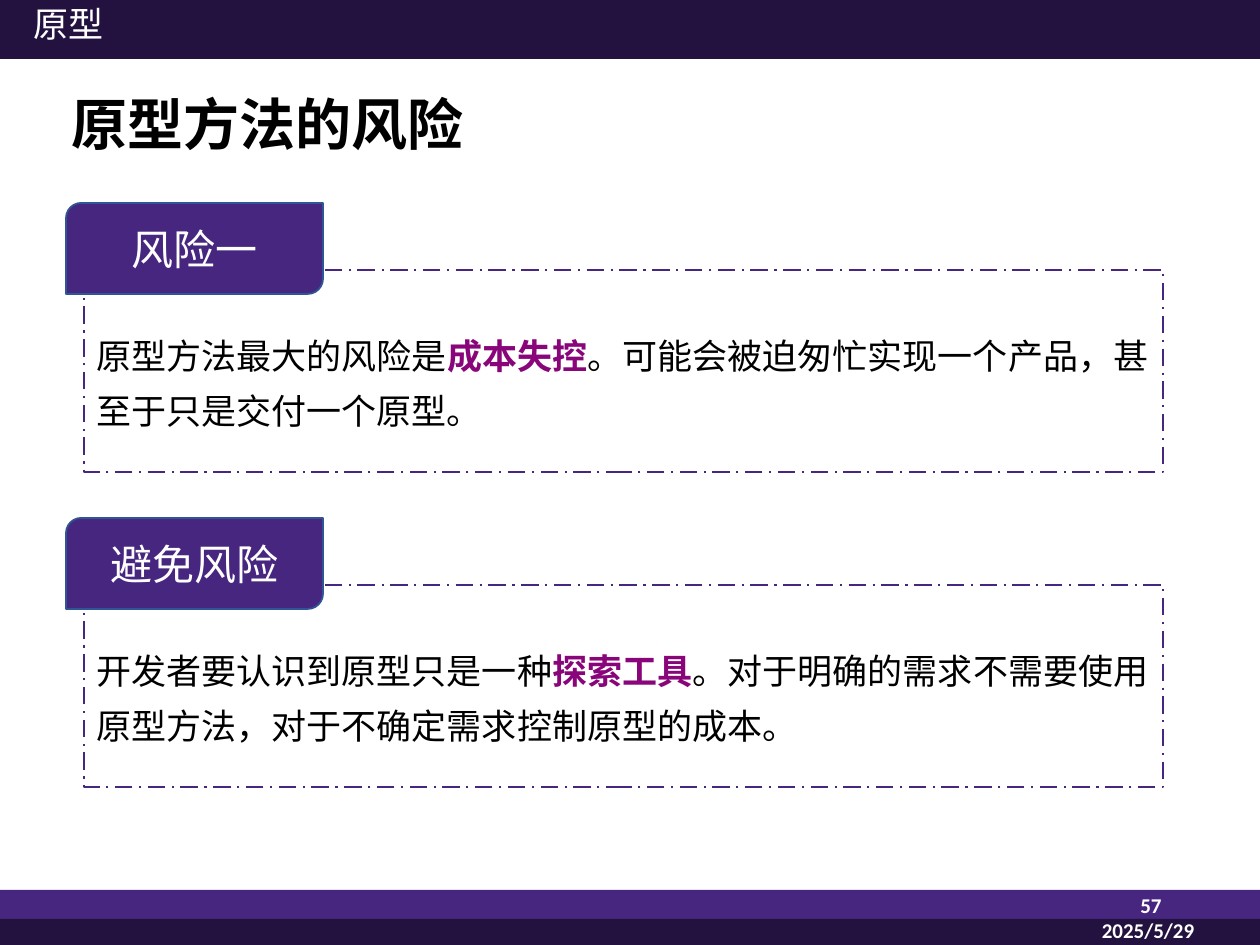
from dataclasses import dataclass

from pptx import Presentation
from pptx.dml.color import RGBColor
from pptx.enum.dml import MSO_LINE
from pptx.enum.shapes import MSO_SHAPE
from pptx.enum.text import MSO_ANCHOR, PP_ALIGN
from pptx.util import Emu, Pt
from lxml.etree import SubElement
from pptx.oxml.ns import qn

EMU_PER_PX = 914400 / 126
CJK = "Noto Sans CJK SC"
COLORS = {
    "purple": "472680",
    "dark": "231240",
    "edge": "2F5597",
    "accent": "88057A",
    "black": "000000",
    "white": "FFFFFF",
}


@dataclass(frozen=True)
class Box:
    left: int
    top: int
    width: int
    height: int

    def emu(self) -> list[Emu]:
        return [px(n) for n in (self.left, self.top, self.width, self.height)]


@dataclass(frozen=True)
class Run:
    text: str
    color: str = "black"
    bold: bool = False


@dataclass(frozen=True)
class Card:
    label: str
    body: tuple[Run, ...]


CARDS = (
    Card("风险一", (
        Run("原型方法最大的风险是"),
        Run("成本失控", "accent", True),
        Run("。可能会被迫匆忙实现一个产品，甚至于只是交付一个原型。"),
    )),
    Card("避免风险", (
        Run("开发者要认识到原型只是一种"),
        Run("探索工具", "accent", True),
        Run("。对于明确的需求不需要使用原型方法，对于不确定需求控制原型的成本。"),
    )),
)
BARS = (
    (Box(0, 890, 1260, 30), "purple"),
    (Box(0, 919, 1260, 26), "dark"),
    (Box(0, 0, 1260, 59), "dark"),
)
CARD_TOP, CARD_PITCH, FRAME_DROP = 203, 315, 67


def px(count: int) -> Emu:
    return Emu(round(count * EMU_PER_PX))


def rgb(name: str) -> RGBColor:
    return RGBColor.from_string(COLORS[name])


def write(shape, *runs: Run, size: int, font: str = CJK, align=PP_ALIGN.LEFT,
          anchor=MSO_ANCHOR.TOP, spacing=None, inset_top: int = 6,
          wrap: bool = True) -> None:
    """Fill a shape with one paragraph of formatted runs."""
    frame = shape.text_frame
    frame.word_wrap = wrap
    frame.vertical_anchor = anchor
    frame.margin_top = px(inset_top)
    paragraph = frame.paragraphs[0]
    paragraph.alignment = align
    paragraph.line_spacing = spacing
    for part in runs:
        run = paragraph.add_run()
        run.text = part.text
        run.font.size = Pt(size)
        run.font.bold = part.bold
        run.font.color.rgb = rgb(part.color)
        run.font.name = font
        SubElement(run.font._element, qn("a:ea")).set("typeface", CJK)


def add_panel(slide, box: Box, kind=MSO_SHAPE.RECTANGLE, fill: str = "",
              line: str = "", line_width: float = 1):
    """Add a preset shape; an empty fill or line name leaves that part out."""
    panel = slide.shapes.add_shape(kind, *box.emu())
    panel.shadow.inherit = False
    if fill:
        panel.fill.solid()
        panel.fill.fore_color.rgb = rgb(fill)
    else:
        panel.fill.background()
    if line:
        panel.line.color.rgb = rgb(line)
        panel.line.width = Pt(line_width)
    else:
        panel.line.fill.background()
    return panel


def add_label(slide, box: Box, run: Run, **text_format) -> None:
    write(slide.shapes.add_textbox(*box.emu()), run, **text_format)


def add_card(slide, card: Card, top: int) -> None:
    frame = add_panel(slide, Box(84, top + FRAME_DROP, 1079, 202),
                      line="purple", line_width=1.25)
    frame.line.dash_style = MSO_LINE.LONG_DASH_DOT
    write(frame, *card.body, size=20, spacing=Pt(31.4), inset_top=52)
    tab = add_panel(slide, Box(66, top, 257, 91),
                    MSO_SHAPE.ROUND_2_DIAG_RECTANGLE, "purple", "edge")
    write(tab, Run(card.label, "white"), size=24, font="Times New Roman",
          align=PP_ALIGN.CENTER, anchor=MSO_ANCHOR.MIDDLE)


def main() -> None:
    deck = Presentation()
    deck.slide_width, deck.slide_height = px(1260), px(945)
    slide = deck.slides.add_slide(deck.slide_layouts[6])

    for box, color in BARS:
        add_panel(slide, box, fill=color)
    add_label(slide, Box(1092, 887, 82, 76), Run("57", "white", True),
              size=12, font="Calibri", align=PP_ALIGN.RIGHT)
    add_label(slide, Box(1076, 912, 144, 50), Run("2025/5/29", "white", True),
              size=12, font="Calibri", align=PP_ALIGN.CENTER)
    add_label(slide, Box(59, 82, 1086, 91), Run("原型方法的风险", bold=True),
              size=32, anchor=MSO_ANCHOR.MIDDLE, spacing=0.9)
    add_label(slide, Box(21, 3, 96, 55), Run("原型", "white"),
              size=20, inset_top=0, wrap=False)
    for index, card in enumerate(CARDS):
        add_card(slide, card, CARD_TOP + index * CARD_PITCH)

    deck.save("out.pptx")


if __name__ == "__main__":
    main()
